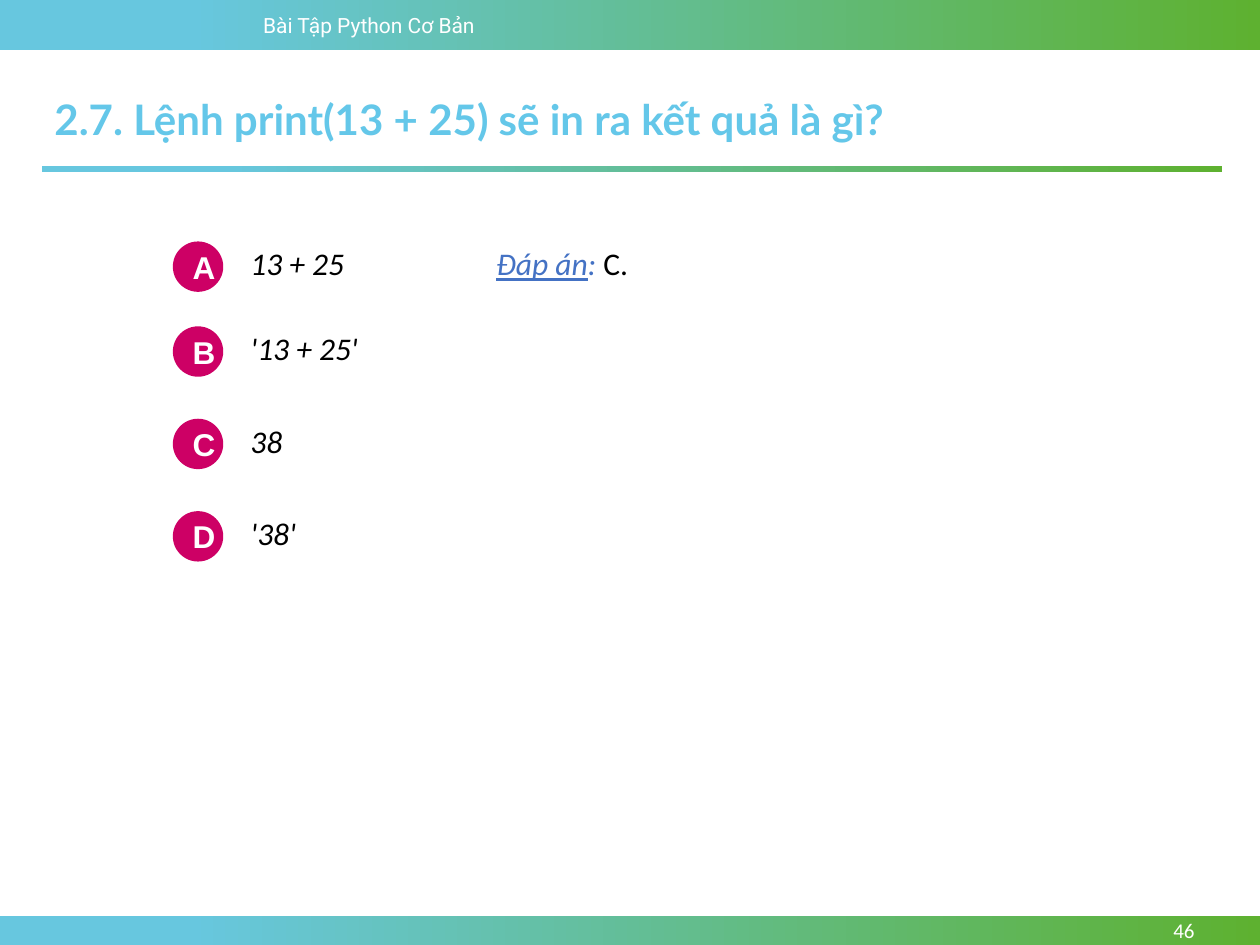
from pptx import Presentation
from pptx.dml.color import RGBColor
from pptx.enum.shapes import MSO_SHAPE as Shape
from pptx.enum.text import MSO_ANCHOR as Anchor, PP_ALIGN as Align
from pptx.util import Pt

COLORS = {
    "sky": "67C7DF",
    "green": "5EB130",
    "title": "64C7E9",
    "badge": "CD0065",
    "answer": "4472C4",
    "white": "FFFFFF",
    "black": "000000",
}
WIDTH, HEIGHT = 720, 540
BADGE = 28.8


def color(name):
    return RGBColor.from_string(COLORS[name])


def add_span(para, text, size=18, font="Calibri", ink="black", bold=False, italic=False, underline=False):
    span = para.add_run()
    span.text = text
    span.font.name = font
    span.font.size = Pt(size)
    span.font.bold = bold
    span.font.italic = italic
    span.font.underline = underline
    span.font.color.rgb = color(ink)


class Page:
    def __init__(self, deck):
        self.shapes = deck.slides.add_slide(deck.slide_layouts[6]).shapes

    def shape(self, kind, left, top, width, height):
        shape = self.shapes.add_shape(kind, Pt(left), Pt(top), Pt(width), Pt(height))
        shape.shadow.inherit = False
        shape.line.fill.background()
        return shape

    def band(self, left, top, width, height):
        fill = self.shape(Shape.RECTANGLE, left, top, width, height).fill
        fill.gradient()
        fill.gradient_angle = 0
        for stop, name, position in zip(fill.gradient_stops, ("sky", "green"), (0.15, 1)):
            stop.color.rgb = color(name)
            stop.position = position

    def badge(self, left, top, letter):
        shape = self.shape(Shape.OVAL, left, top, BADGE, BADGE)
        shape.fill.solid()
        shape.fill.fore_color.rgb = color("badge")
        shape.text_frame.vertical_anchor = Anchor.MIDDLE
        para = shape.text_frame.paragraphs[0]
        para.alignment = Align.CENTER
        add_span(para, letter, font="Arial", ink="white", bold=True)

    def text(self, left, top, width, height, *spans, anchor=Anchor.TOP, align=Align.LEFT):
        box = self.shapes.add_textbox(Pt(left), Pt(top), Pt(width), Pt(height))
        box.text_frame.word_wrap = True
        box.text_frame.vertical_anchor = anchor
        para = box.text_frame.paragraphs[0]
        para.alignment = align
        for text, style in spans:
            add_span(para, text, **style)


def main():
    deck = Presentation()
    deck.slide_width, deck.slide_height = Pt(WIDTH), Pt(HEIGHT)
    page = Page(deck)

    page.band(0, 0, WIDTH, 28.6)
    page.band(0, 523.4, WIDTH, HEIGHT - 523.4)
    page.text(143.3, 3.6, 162, 21.8,
              ("Bài Tập Python Cơ Bản", dict(size=12, font="Roboto", ink="white")))
    page.text(623.5, 523.4, 66.2, 16.6, ("46", dict(size=12, ink="white")),
              anchor=Anchor.MIDDLE, align=Align.RIGHT)
    page.band(24, 94.6, 674.4, 3.6)
    page.text(24, 49.7, 690.5, 36.3,
              ("2.7. Lệnh print(13 + 25) sẽ in ra kết quả là gì?",
               dict(size=24, font="Lato", ink="title", bold=True)))

    choices = [("A", "13 + 25", 138), ("B", "'13 + 25'", 186.5),
               ("C", "38", 239.3), ("D", "'38'", 292.1)]
    for letter, choice, top in choices:
        page.badge(98.8, top, letter)
        page.text(136, top - 1.9, 198.7, 29.1, (choice, dict(italic=True)))

    page.text(276.5, 136.1, 157, 72.7,
              ("Đáp án", dict(ink="answer", italic=True, underline=True)),
              (": ", dict(ink="answer", italic=True)),
              ("C.", {}))
    deck.save("out.pptx")


if __name__ == "__main__":
    main()
